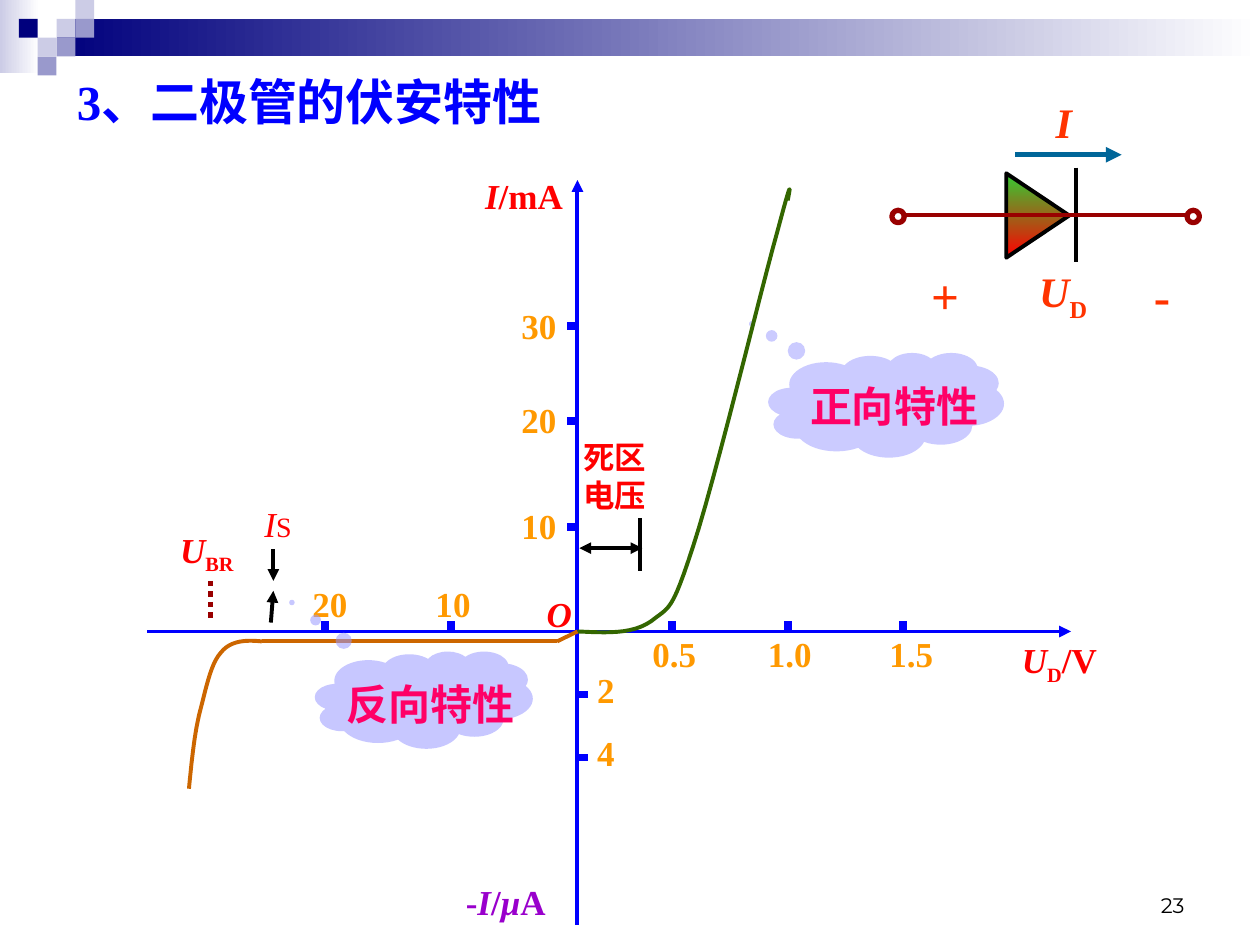
from pptx import Presentation
from pptx.dml.color import RGBColor
from pptx.enum.dml import MSO_LINE
from pptx.enum.shapes import MSO_CONNECTOR, MSO_SHAPE
from pptx.enum.text import MSO_ANCHOR, PP_ALIGN
from pptx.oxml.ns import qn
from pptx.util import Cm, Pt
from lxml import etree

RECT, OVAL = MSO_SHAPE.RECTANGLE, MSO_SHAPE.OVAL
CLOUD, TRI = MSO_SHAPE.CLOUD_CALLOUT, MSO_SHAPE.ISOSCELES_TRIANGLE
STRAIGHT, DOTS = MSO_CONNECTOR.STRAIGHT, MSO_LINE.ROUND_DOT
LEFT, RIGHT, BOTTOM = PP_ALIGN.LEFT, PP_ALIGN.RIGHT, MSO_ANCHOR.BOTTOM

HEX = {
    "navy": "00007D", "pale": "CCCCE6", "lilac": "9999CC", "white": "FFFFFF",
    "blue": "0000FF", "orange": "FF9900", "red": "FF0000", "purple": "9900CC",
    "green": "336600", "brown": "CC6600", "pink": "FF0066", "black": "000000",
    "maroon": "990000", "teal": "006699", "coral": "FF3300",
    "lime": "33CC33", "cloud": "9999FF",
}
RGB = {name: RGBColor.from_string(code) for name, code in HEX.items()}

prs = Presentation()
prs.slide_width, prs.slide_height = Cm(25.4), Cm(19.05)
slide = prs.slides.add_slide(prs.slide_layouts[6])
shapes = slide.shapes


def text(x, y, w, h, size, color, runs, font="Times New Roman", align=LEFT):
    """Runs are (text, flags): b bold, i italic, s subscript, c small caps."""
    box = shapes.add_textbox(Cm(x), Cm(y), Cm(w), Cm(h))
    box.text_frame.word_wrap = True
    para = box.text_frame.paragraphs[0]
    para.alignment = align
    for words, flags in runs:
        run = para.add_run()
        run.text = words
        run.font.name, run.font.size = font, Pt(size)
        run.font.color.rgb = RGB[color]
        run.font.bold, run.font.italic = "b" in flags, "i" in flags
        props = run._r.get_or_add_rPr()
        if "s" in flags:
            props.set("baseline", "-25000")
        if "c" in flags:
            props.set("cap", "small")
    return box


def line(x1, y1, x2, y2, color, width=2.25, ends=()):
    """Ends names the arrowheads: headEnd, tailEnd or both."""
    link = shapes.add_connector(STRAIGHT, Cm(x1), Cm(y1), Cm(x2), Cm(y2))
    link.line.color.rgb, link.line.width = RGB[color], Pt(width)
    for end in ends:
        etree.SubElement(link.line._get_or_add_ln(), qn("a:" + end), type="triangle")
    etree.SubElement(link._element.spPr, qn("a:effectLst"))
    return link


# Gradient parts: header fade, header bar and the diode body
for kind, x, y, w, h, turn, angle, start, stop in [
    (RECT, 0, 0, 0.79, 1.47, 0, 0, "pale", "white"),
    (RECT, 1.14, 0.38, 24.26, 0.76, 0, 0, "navy", "white"),
    (TRI, 20.07, 3.71, 1.7, 1.27, 90, 90, "red", "lime"),
]:
    part = shapes.add_shape(kind, Cm(x), Cm(y), Cm(w), Cm(h))
    part.shadow.inherit = False
    part.rotation = turn
    part.fill.gradient()
    part.fill.gradient_angle = angle
    for mark, color in zip(part.fill.gradient_stops, (start, stop)):
        mark.color.rgb = RGB[color]
    part._element.spPr.find(qn("a:gradFill")).set("rotWithShape", "0")
    if kind == TRI:
        part.line.color.rgb, part.line.width = RGB["black"], Pt(2.25)
    else:
        part.line.fill.background()

# Header squares on a grid
SIDE = 0.38
for col, row, color in [
    (3, 1, "pale"), (4, 0, "pale"), (4, 1, "lilac"), (2, 2, "pale"),
    (1, 1, "navy"), (3, 2, "lilac"), (2, 3, "lilac"),
]:
    tile = shapes.add_shape(RECT, Cm(col * SIDE), Cm(row * SIDE), Cm(SIDE), Cm(SIDE))
    tile.shadow.inherit = False
    tile.fill.solid()
    tile.fill.fore_color.rgb = RGB[color]
    tile.line.fill.background()

# Title and slide number
text(1.3, 1.32, 10.59, 1.45, 28, "blue", [("3、二极管的伏安特性", "b")])
page = text(18.21, 17.35, 5.92, 1.27, 12, "black", [("23", "")], "Montserrat", RIGHT)
page.text_frame.vertical_anchor = BOTTOM

# Axes, with ticks and their numbers
OX, OY, TICK = 11.64, 12.73, 0.21
line(OX, 18.64, OX, 3.63, "blue", ends=["tailEnd"])
line(2.97, OY, 21.59, OY, "blue", ends=["tailEnd"])
for label, y in [("30", 6.58), ("20", 8.48), ("10", 10.62)]:
    line(OX - TICK, y, OX, y, "blue", 4.5)
    text(10.26, y - 0.57, 1.27, 1.12, 20, "orange", [(label, "b")])
for label, y in [("2", 14), ("4", 15.27)]:
    line(OX, y, OX + TICK, y, "blue", 4.5)
    text(11.79, y - 0.64, 1.27, 1.12, 20, "orange", [(label, "b")])
for label, x, left, top in [
    ("20", 6.56, 6.05, 11.61), ("10", 9.1, 8.53, 11.61),
    ("0.5", 13.55, 12.9, 12.62), ("1.0", 15.88, 15.23, 12.62),
    ("1.5", 18.2, 17.68, 12.62),
]:
    line(x, OY - TICK, x, OY, "blue", 4.5)
    text(left, top, 1.6, 1.12, 20, "orange", [(label, "b")])

# Axis names
text(9.53, 3.4, 2.34, 1.12, 20, "red", [("I", "bi"), ("/mA", "b")])
text(20.35, 12.75, 2.34, 1.22, 20, "red", [("U", "bi"), ("D", "bs"), ("/V", "b")])
text(9.14, 17.63, 2.92, 1.12, 20, "purple",
     [("-", "b"), ("I", "bi"), ("/", "b"), ("μ", "bi"), ("А", "b")])
text(10.77, 11.81, 1.27, 1.12, 20, "red", [("O", "bi")])

# Forward cloud lies under the curves, reverse cloud over them
clouds = []
for x, y, w, h, tip, alpha in [
    (15.49, 7.11, 4.75, 2.11, (-0.57, -0.775), 51000),
    (6.35, 13.13, 4.39, 1.96, (-0.606, -1.002), 55000),
]:
    cloud = shapes.add_shape(CLOUD, Cm(x), Cm(y), Cm(w), Cm(h))
    cloud.shadow.inherit = False
    cloud.adjustments[0], cloud.adjustments[1] = tip
    cloud.fill.solid()
    cloud.fill.fore_color.rgb = RGB["cloud"]
    tint = cloud._element.spPr.find(qn("a:solidFill"))[0]
    etree.SubElement(tint, qn("a:alpha"), val=str(alpha))
    cloud.line.fill.background()
    clouds.append(cloud)

# Curves: a start point, then cubic pieces of two controls and an end
STEPS = 12
for color, start, parts in [
    ("green", (OX, OY), [
        ((12.19, 12.75), (12.73, 12.8), (13.13, 12.52)),
        ((13.51, 12.22), (13.54, 12.34), (13.97, 11.02)),
        ((14.4, 9.73), (15.34, 5.84), (15.67, 4.67)),
        ((15.98, 3.51), (15.93, 3.78), (15.88, 4.04))]),
    ("brown", (5.28, 12.93), [
        ((4.98, 12.9), (4.65, 12.9), (4.45, 13.16)),
        ((4.24, 13.39), (4.14, 13.94), (4.01, 14.43)),
        ((3.91, 14.88), (3.86, 15.39), (3.81, 15.9))]),
]:
    pen = shapes.build_freeform(Cm(start[0]), Cm(start[1]))
    dots = []
    for one, two, end in parts:
        for step in range(1, STEPS + 1):
            t = step / STEPS
            u = 1 - t
            dots.append([
                Cm(u**3 * a + 3 * u * u * t * b + 3 * u * t * t * c + t**3 * d)
                for a, b, c, d in zip(start, one, two, end)])
        start = end
    pen.add_line_segments(dots, close=False)
    curve = pen.convert_to_shape()
    curve.shadow.inherit = False
    curve.fill.background()
    curve.line.color.rgb, curve.line.width = RGB[color], Pt(2.25)
line(OX, OY, 11.23, 12.93, "brown")
line(11.23, 12.93, 5.28, 12.93, "brown")
shapes._spTree.append(clouds[1]._element)

# Cloud captions
text(16.08, 7.54, 4.22, 1.27, 24, "pink", [("正向特性", "b")])
text(6.73, 13.56, 4.37, 1.27, 24, "pink", [("反向特性", "b")])

# Dead zone
line(12.9, 11.51, 12.9, 10.44, "black")
line(11.68, 11.05, 12.95, 11.05, "black", ends=["headEnd", "tailEnd"])
text(11.51, 8.71, 2.11, 1.78, 18, "red", [("死区电压", "b")])

# Saturation current and breakdown voltage
line(5.51, 11.07, 5.51, 11.71, "black", ends=["tailEnd"])
line(5.46, 12.55, 5.51, 11.91, "black", ends=["tailEnd"])
text(5.08, 10.01, 1.14, 1.12, 20, "red", [("I", "i"), ("s", "c")])
line(4.24, 11.71, 4.24, 12.55, "maroon", 3).line.dash_style = DOTS
text(3.38, 10.52, 1.68, 1.22, 20, "red", [("U", "bi"), ("BR", "bs")])

# Diode symbol: bar, wire, terminals and signs
line(21.69, 3.38, 21.69, 5.28, "black")
line(18.24, 4.34, 23.93, 4.34, "maroon")
for x in (17.98, 23.93):
    ring = shapes.add_shape(OVAL, Cm(x), Cm(4.24), Cm(0.25), Cm(0.25))
    ring.shadow.inherit = False
    ring.fill.background()
    ring.line.color.rgb, ring.line.width = RGB["maroon"], Pt(3)
line(20.47, 3.12, 22.61, 3.12, "teal", 3, ["tailEnd"])
text(21.03, 1.83, 1.12, 1.27, 24, "coral", [("I", "bi")])
text(20.7, 5.23, 1.75, 1.42, 24, "coral", [("U", "bi"), ("D", "bs")])
for sign, x in [("+", 18.52), ("-", 23.01)]:
    text(x, 5.23, 1.22, 1.45, 28, "coral", [(sign, "b")])

prs.save("out.pptx")
